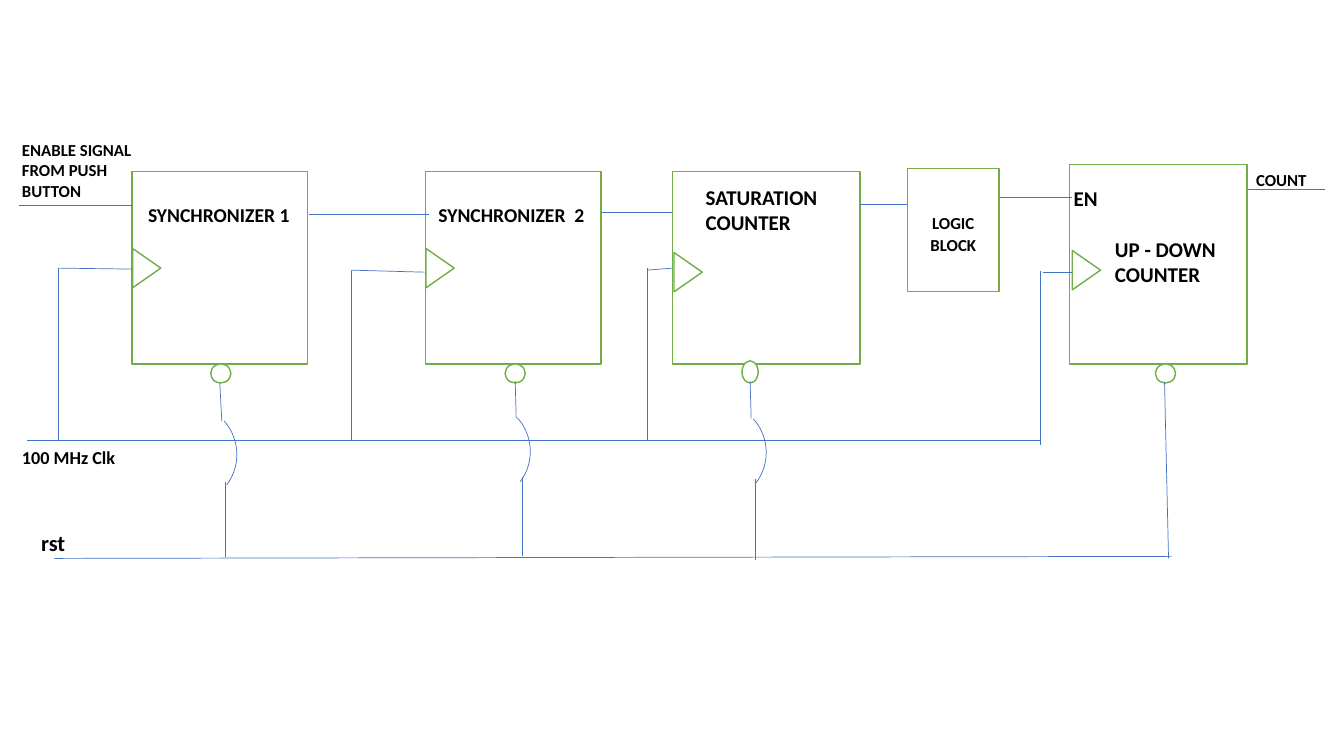
from lxml.etree import SubElement
from pptx import Presentation
from pptx.dml.color import RGBColor
from pptx.enum.shapes import MSO_CONNECTOR, MSO_SHAPE
from pptx.enum.text import MSO_ANCHOR, PP_ALIGN
from pptx.oxml.ns import qn
from pptx.util import Emu, Pt

PX = 9144  # 100 px to the inch
GREEN, BLUE, WHITE, BLACK = "70AD47", "4472C4", "FFFFFF", "000000"
FONT = "Calibri"

# left, top, width, height
BLOCKS = [(131, 170, 174, 191), (422, 170, 174, 191),
          (667, 170, 186, 191), (1061, 163, 176, 198)]
LOGIC = (900, 167, 91, 122)
LOGIC_TEXT = [("LOGIC", 12), (" ", 18), ("BLOCK", 12)]

CLOCKS = [(126, 252), (417, 252), (663, 256), (1058, 254)]
CLOCK_SIZE = (39, 28)
RESETS = [(209, 361, 20, 19), (501, 361, 20, 19),
          (736, 358, 16, 22), (1146, 361, 20, 19)]
HOPS = [(135, 401), (426, 398), (660, 399)]
HOP_SIZE = (100, 100)
HOP_TURN, HOP_ENDS = 48.2, (162, 209.225)

# from x, from y, to x, to y
WIRES = {
    "data": [(19, 204, 131, 204), (306, 213, 425, 213), (597, 211, 667, 211),
             (853, 203, 900, 203), (992, 196, 1063, 196),
             (1238, 188, 1314, 188)],
    "clock": [(27, 437, 1032, 437),
              (58, 266, 131, 267), (58, 266, 58, 437),
              (348, 268, 421, 270), (348, 269, 348, 437),
              (642, 268, 667, 266), (642, 266, 642, 437),
              (1034, 270, 1063, 270), (1032, 269, 1032, 441)],
    "reset": [(54, 554, 1162, 552),
              (218, 380, 220, 418), (224, 478, 224, 553),
              (511, 378, 512, 415), (518, 473, 518, 552),
              (744, 378, 745, 415), (749, 475, 749, 556),
              (1155, 379, 1159, 554)],
}

# text, size, box
LABELS = [
    ("ENABLE SIGNAL FROM PUSH BUTTON", 12, (12, 134, 163, 71)),
    ("SYNCHRONIZER 1", 14, (137, 196, 170, 34)),
    ("SYNCHRONIZER  2", 14, (425, 196, 172, 34)),
    ("SATURATION COUNTER", 15, (690, 178, 131, 61)),
    ("EN", 15, (1055, 179, 91, 35)),
    ("UP - DOWN COUNTER", 15, (1096, 230, 131, 61)),
    ("COUNT", 12, (1236, 163, 81, 30)),
    ("100 MHz Clk", 13, (12, 438, 200, 32)),
    ("rst", 16, (31, 520, 213, 37)),
]


def color(code):
    return RGBColor.from_string(code)


def scale(box):
    return [Emu(v * PX) for v in box]


def draw(slide, kind, box, line=GREEN, width=1, fill=WHITE):
    shape = slide.shapes.add_shape(kind, *scale(box))
    shape.shadow.inherit = False
    if fill:
        shape.fill.solid()
        shape.fill.fore_color.rgb = color(fill)
    else:
        shape.fill.background()
    shape.line.color.rgb = color(line)
    shape.line.width = Pt(width)
    return shape


def wire(slide, ends):
    line = slide.shapes.add_connector(MSO_CONNECTOR.STRAIGHT, *scale(ends))
    line.line.color.rgb = color(BLUE)
    line.line.width = Pt(0.5)
    SubElement(line._element.spPr, qn("a:effectLst"))


def write(frame, runs):
    frame.word_wrap = True
    for text, size in runs:
        run = frame.paragraphs[0].add_run()
        run.text = text
        run.font.name = FONT
        run.font.size = Pt(size)
        run.font.bold = True
        run.font.color.rgb = color(BLACK)


def main():
    deck = Presentation()
    deck.slide_width, deck.slide_height = scale((1333, 750))
    slide = deck.slides.add_slide(deck.slide_layouts[6])

    for box in BLOCKS:
        draw(slide, MSO_SHAPE.RECTANGLE, box)
    for spot in CLOCKS:
        mark = draw(slide, MSO_SHAPE.ISOSCELES_TRIANGLE, spot + CLOCK_SIZE)
        mark.rotation = 90
    for box in RESETS:
        draw(slide, MSO_SHAPE.OVAL, box)
    for spot in HOPS:
        hop = draw(slide, MSO_SHAPE.ARC, spot + HOP_SIZE, BLUE, 0.5, None)
        hop.rotation = HOP_TURN
        hop.adjustments[0], hop.adjustments[1] = HOP_ENDS

    logic = draw(slide, MSO_SHAPE.RECTANGLE, LOGIC).text_frame
    logic.vertical_anchor = MSO_ANCHOR.MIDDLE
    logic.paragraphs[0].alignment = PP_ALIGN.CENTER
    write(logic, LOGIC_TEXT)

    for group in WIRES.values():
        for ends in group:
            wire(slide, ends)
    for text, size, box in LABELS:
        write(slide.shapes.add_textbox(*scale(box)).text_frame, [(text, size)])

    deck.save("out.pptx")


if __name__ == "__main__":
    main()
